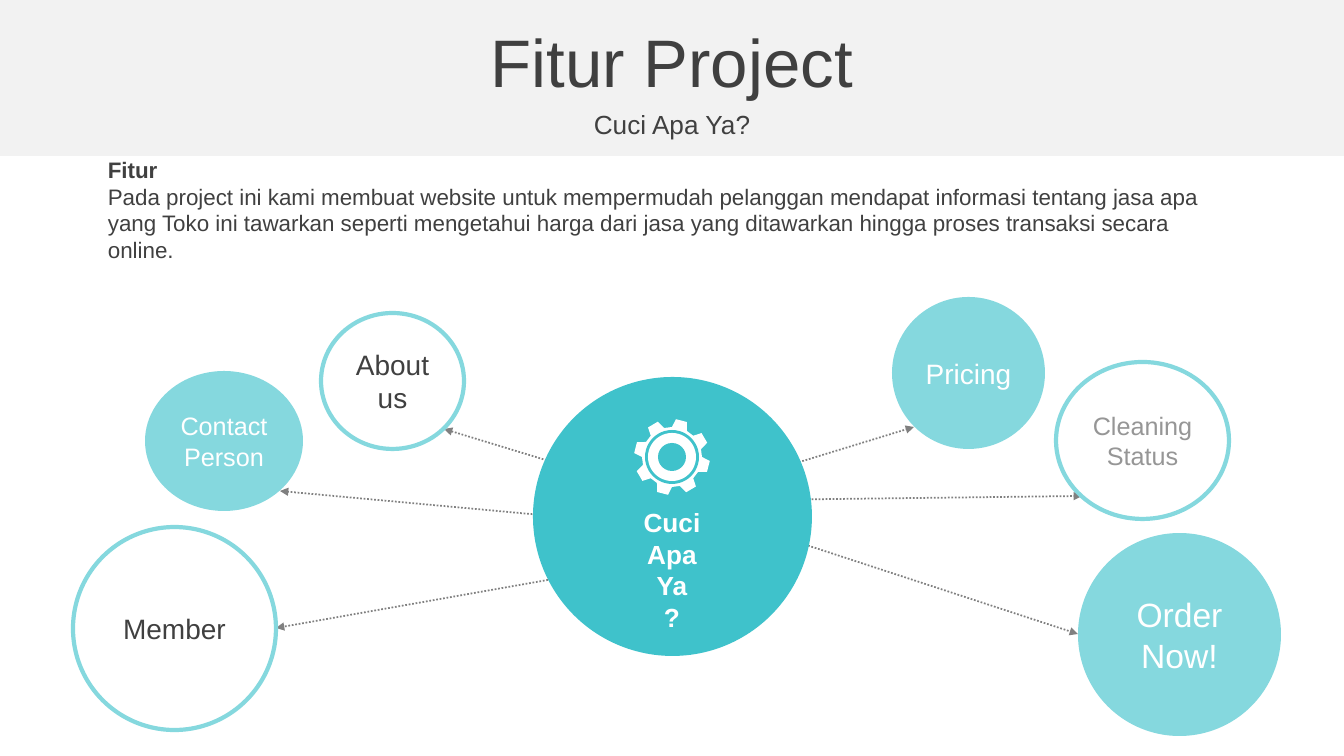
from dataclasses import dataclass
from math import cos, radians, sin

from lxml import etree
from pptx import Presentation
from pptx.dml.color import RGBColor
from pptx.enum.dml import MSO_LINE
from pptx.enum.shapes import MSO_CONNECTOR, MSO_SHAPE
from pptx.enum.text import MSO_ANCHOR, PP_ALIGN
from pptx.oxml.ns import qn
from pptx.util import Pt

OVAL, RECT = MSO_SHAPE.OVAL, MSO_SHAPE.RECTANGLE
LEFT, CENTER = PP_ALIGN.LEFT, PP_ALIGN.CENTER
MIDDLE = MSO_ANCHOR.MIDDLE
STRAIGHT = MSO_CONNECTOR.STRAIGHT
DOTS = MSO_LINE.ROUND_DOT
SCALE = 12192000 / 1344


@dataclass(frozen=True)
class Theme:
    """Hold the colours and type sizes."""
    font: str = "Arial"
    white: str = "FFFFFF"
    band: str = "F2F2F2"
    ink: str = "404040"
    gray: str = "969696"
    wire: str = "808080"
    pale: str = "85D8DE"
    teal: str = "3FC2CB"
    title: float = 48
    sub: float = 18.7
    body: float = 16
    small: float = 18
    mid: float = 20
    large: float = 24


THEME = Theme()


def px(num):
    """Turn pixels into EMU."""
    return round(num * SCALE)


def rgb(color):
    """Turn a hex string into a colour."""
    return RGBColor.from_string(color)


def write(shape, text, size, color, bold=False, align=CENTER):
    """Set and format the text of a shape."""
    frame = shape.text_frame
    frame.word_wrap = True
    frame.vertical_anchor = MIDDLE
    frame.text = text
    for para in frame.paragraphs:
        para.alignment = align
        for run in para.runs:
            font = run.font
            font.name, font.size, font.bold = THEME.font, Pt(size), bold
            font.color.rgb = rgb(color)


def paint(shape, fill, line=None):
    """Give a shape a flat fill and an optional outline."""
    shape.shadow.inherit = False
    shape.fill.solid()
    shape.fill.fore_color.rgb = rgb(fill)
    if line:
        shape.line.color.rgb = rgb(line)
        shape.line.width = Pt(3)
    else:
        shape.line.fill.background()


def add_form(slide, kind, box, fill, line=None):
    """Add a preset shape."""
    shape = slide.shapes.add_shape(kind, *map(px, box))
    paint(shape, fill, line)
    return shape


def add_text(slide, box, text, size, color, bold=False, align=CENTER):
    """Add a wrapped text box."""
    shape = slide.shapes.add_textbox(*map(px, box))
    write(shape, text, size, color, bold, align)


def add_arrow(slide, start, end):
    """Add a dotted arrow."""
    arrow = slide.shapes.add_connector(STRAIGHT, *map(px, start + end))
    arrow.line.color.rgb = rgb(THEME.wire)
    arrow.line.width = Pt(1.25)
    arrow.line.dash_style = DOTS
    props = arrow.line._get_or_add_ln()
    etree.SubElement(props, qn("a:tailEnd"), type="triangle")
    etree.SubElement(arrow._element.spPr, qn("a:effectLst"))


def add_gear(slide, x, y):
    """Add an eight-tooth gear around a centre."""
    points = []
    for tooth in range(8):
        for turn, reach in ((0, 38), (17, 38), (24, 30), (39, 30)):
            angle = radians(tooth * 45 + turn - 84)
            points.append((px(x + reach * cos(angle)),
                           px(y + reach * sin(angle))))
    pen = slide.shapes.build_freeform(*points[0], scale=1.0)
    pen.add_line_segments(points[1:], close=True)
    paint(pen.convert_to_shape(), THEME.white)
    for reach, color in ((27, THEME.teal), (24, THEME.white),
                         (14, THEME.teal)):
        box = (x - reach, y - reach, 2 * reach, 2 * reach)
        add_form(slide, OVAL, box, color)


def add_head(slide):
    """Add the title band and the intro."""
    add_form(slide, RECT, (0, 0, 1344, 156), THEME.band)
    add_text(slide, (0, 18, 1344, 85), "Fitur Project",
             THEME.title, THEME.ink)
    add_text(slide, (0, 103, 1344, 42), "Cuci Apa Ya?",
             THEME.sub, THEME.ink)
    add_text(slide, (98, 146, 1143, 48), "Fitur",
             THEME.body, THEME.ink, True, LEFT)
    intro = ("Pada project ini kami membuat website untuk mempermudah "
             "pelanggan mendapat informasi tentang jasa apa yang Toko ini "
             "tawarkan seperti mengetahui harga dari jasa yang ditawarkan "
             "hingga proses transaksi secara online.")
    add_text(slide, (98, 158, 1143, 130), intro,
             THEME.body, THEME.ink, align=LEFT)


def add_map(slide):
    """Add the hub, its arrows and the feature circles."""
    t = THEME
    wires = (
        ((672, 501), (914, 427)),
        ((672, 501), (1082, 496)),
        ((672, 501), (1078, 634)),
        ((677, 500), (444, 429)),
        ((661, 526), (280, 491)),
        ((689, 555), (276, 628)),
    )
    for start, end in wires:
        add_arrow(slide, start, end)
    nodes = (
        ("Pricing", (892, 297, 153, 152), t.pale, None, t.mid, t.white),
        ("Cleaning Status", (1056, 362, 173, 157), t.white, t.pale,
         t.small, t.gray),
        ("Order Now!", (1078, 533, 203, 203), t.pale, None,
         t.large, t.white),
        ("About us", (321, 313, 143, 136), t.white, t.pale, t.mid, t.ink),
        ("Contact Person", (145, 371, 158, 140), t.pale, None,
         t.small, t.white),
        ("Member", (73, 527, 203, 203), t.white, t.pale, t.mid, t.ink),
    )
    for text, box, fill, line, size, color in nodes:
        write(add_form(slide, OVAL, box, fill, line), text, size, color)
    add_form(slide, OVAL, (533, 377, 279, 279), t.teal)
    add_gear(slide, 672, 457)
    add_text(slide, (572, 501, 200, 137), "Cuci\vApa\vYa\v?",
             t.sub, t.white, True)


def main():
    """Build and save the slide."""
    deck = Presentation()
    deck.slide_width, deck.slide_height = px(1344), px(756)
    slide = deck.slides.add_slide(deck.slide_layouts[6])
    add_head(slide)
    add_map(slide)
    deck.save("out.pptx")


if __name__ == "__main__":
    main()
